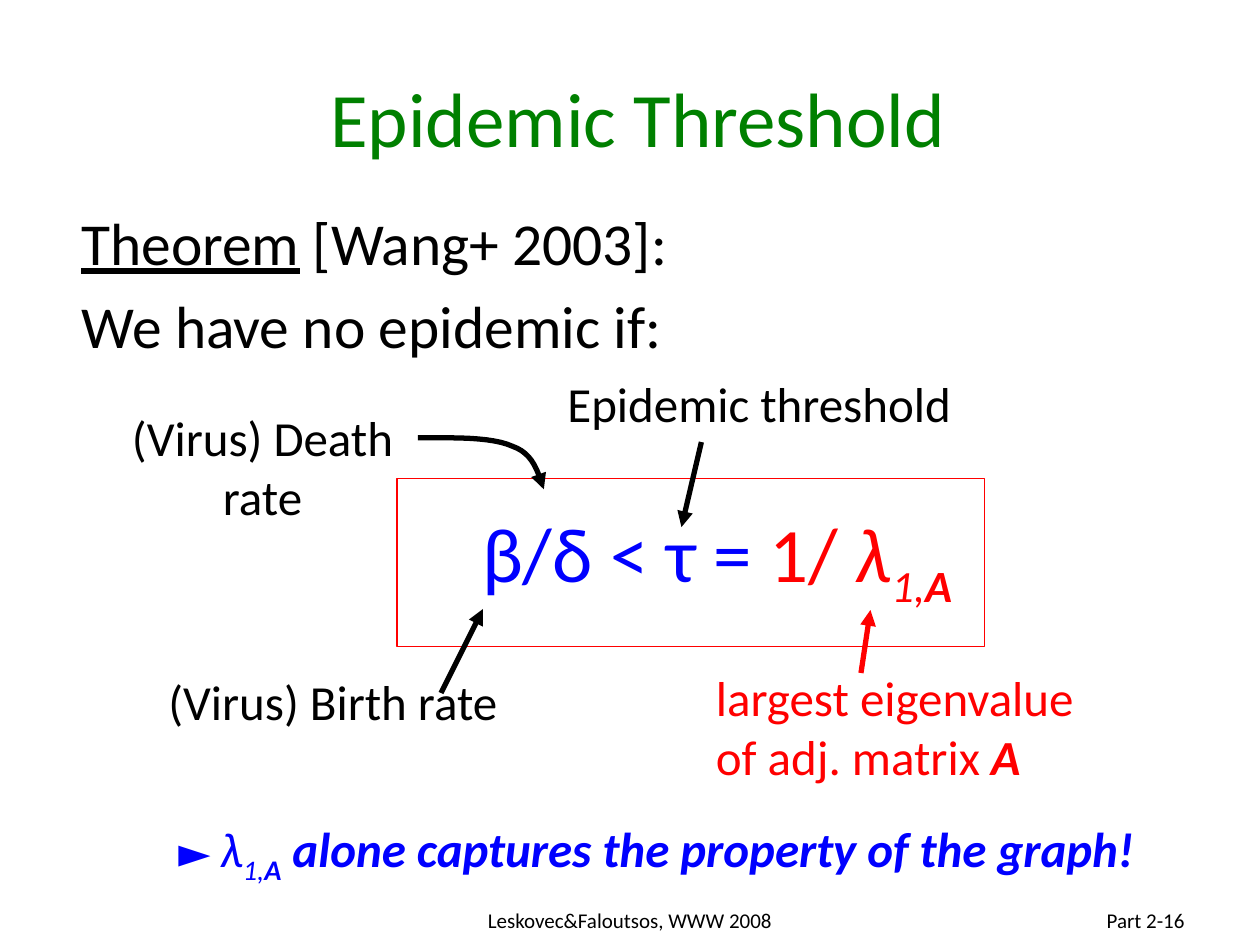
from lxml.etree import SubElement
from pptx import Presentation
from pptx.dml.color import RGBColor
from pptx.enum.shapes import MSO_CONNECTOR, MSO_SHAPE
from pptx.enum.text import MSO_ANCHOR, MSO_AUTO_SIZE, PP_ALIGN
from pptx.oxml.ns import qn
from pptx.util import Inches, Pt

HUES = {"black": "000000", "green": "008000", "blue": "0000FF", "red": "FF0000"}
ALIGN = {"l": PP_ALIGN.LEFT, "c": PP_ALIGN.CENTER, "r": PP_ALIGN.RIGHT}
COLS, ROWS = 120, 90
CELL = Inches(10) // COLS


def write(box, area, lines, size, hue="black", side="l", margin=0, indent=0, wrap=True):
    """Place box at a grid area; lines hold (text, flags[, hue or size]) runs.

    Flags: b bold, i italic, u underline, s subscript.
    """
    box.left, box.top, box.width, box.height = [int(n * CELL) for n in area]
    frame = box.text_frame
    frame.auto_size = MSO_AUTO_SIZE.NONE
    frame.word_wrap = wrap
    for row, runs in enumerate(lines):
        para = frame.add_paragraph() if row else frame.paragraphs[0]
        props = para._p.get_or_add_pPr()
        props.set("marL", str(Inches(margin)))
        props.set("indent", str(Inches(indent)))
        SubElement(props, qn("a:buNone"))
        para.alignment = ALIGN[side]
        para.space_before = Pt(size * 0.2 if row and box.is_placeholder else 0)
        for text, flags, *extra in runs:
            run = para.add_run()
            run.text = text
            font = run.font
            font.name = "Calibri"
            font.size = Pt(next((x for x in extra if x not in HUES), size))
            tint = next((x for x in extra if x in HUES), hue)
            font.color.rgb = RGBColor.from_string(HUES[tint])
            font.bold = "b" in flags
            font.italic = "i" in flags
            font.underline = "u" in flags
            if "s" in flags:
                run._r.get_or_add_rPr().set("baseline", "-25000")
    return frame


def arrow(shape, hue):
    shape.line.color.rgb = RGBColor.from_string(HUES[hue])
    shape.line.width = Pt(3)
    SubElement(shape.line._get_or_add_ln(), qn("a:tailEnd"), type="triangle")


deck = Presentation()
deck.slide_width, deck.slide_height = COLS * CELL, ROWS * CELL
slide = deck.slides.add_slide(deck.slide_layouts[1])
shapes = slide.shapes
title, body = slide.placeholders

# Heading and theorem
write(title, (6, 3.6, 108, 15), [[("Epidemic Threshold", "")]], 44, "green", "c", 0.13)
write(body, (2, 19, 107, 25), [
    [("Theorem", "u"), (" [Wang+ 2003]:", "")],
    [("We have no epidemic if:", "")],
], 34, margin=0.38)

# Formula, labels and closing line
factor = [("λ", "i"), ("1,", "is"), ("A", "bis")]
ratio = [("β/δ < τ =", "", "blue"), (" 1/ ", "")]
claim = [("► ", "i", 24), *factor, (" alone captures the property of the graph!", "bi")]
eigen = [[("largest eigenvalue", "")], [("of adj. matrix ", ""), ("A", "bi")]]
notes = [
    ((37.8, 47.6, 55, 10), [ratio + factor], 44, "red", "c", 1, -0.5),
    ((6, 77.4, 107, 6.8), [claim], 28, "blue", "c", 0.5),
    ((14.3, 63.4, 34.8, 6.8), [[("(Virus) Birth rate", "")]], 28, "black", "c", 0, 0, False),
    ((9, 38.2, 32, 12.4), [[("(Virus) Death rate", "")]], 28, "black", "c"),
    ((52.6, 35, 39.4, 6.8), [[("Epidemic threshold", "")]], 28, "black", "c", 0, 0, False),
    ((67, 63, 36.8, 12.5), eigen, 28, "red", "l", 0, 0, False),
]
for area, *rest in notes:
    write(shapes.add_textbox(0, 0, 0, 0), area, *rest)

frame = shapes.add_shape(MSO_SHAPE.RECTANGLE, *[int(n * CELL) for n in (37.8, 45.6, 56, 16)])
frame.shadow.inherit = False
frame.fill.background()
frame.line.color.rgb = RGBColor.from_string(HUES["red"])
frame.line.width = Pt(0.75)

# Straight pointers
for hue, *ends in [
    ("black", 42, 66, 46, 58),
    ("black", 66.8, 42.1, 64.9, 50.2),
    ("red", 82, 64.1, 82.9, 58.1),
]:
    link = shapes.add_connector(MSO_CONNECTOR.STRAIGHT, *[int(n * CELL) for n in ends])
    arrow(link, hue)
    SubElement(link._element.spPr, qn("a:effectLst"))

# Curved pointer: two cubic arcs sampled as short steps
arcs = [
    [(39.8, 41.7), (43.3, 41.7), (46.8, 41.6), (48.8, 42.5)],
    [(48.8, 42.5), (50.8, 43.2), (51.2, 44.9), (51.8, 46.6)],
]
STEPS = 12
curve = []
for arc in arcs:
    for step in range(1, STEPS + 1):
        t = step / STEPS
        parts = ((1 - t) ** 3, 3 * t * (1 - t) ** 2, 3 * t * t * (1 - t), t ** 3)
        curve.append(tuple(sum(w * p[k] for w, p in zip(parts, arc)) for k in (0, 1)))
pen = shapes.build_freeform(*[int(n * CELL) for n in arcs[0][0]])
pen.add_line_segments([(int(x * CELL), int(y * CELL)) for x, y in curve], close=False)
bend = pen.convert_to_shape()
bend.shadow.inherit = False
bend.fill.background()
arrow(bend, "black")

# Footer
for left, wide, side, text in [
    (41, 38, "c", "Leskovec&Faloutsos, WWW 2008"),
    (86, 28, "r", "Part 2-16"),
]:
    foot = write(shapes.add_textbox(0, 0, 0, 0), (left, 85.2, wide, 4.8),
                 [[(text, "")]], 12, "black", side)
    foot.vertical_anchor = MSO_ANCHOR.MIDDLE

deck.save("out.pptx")
